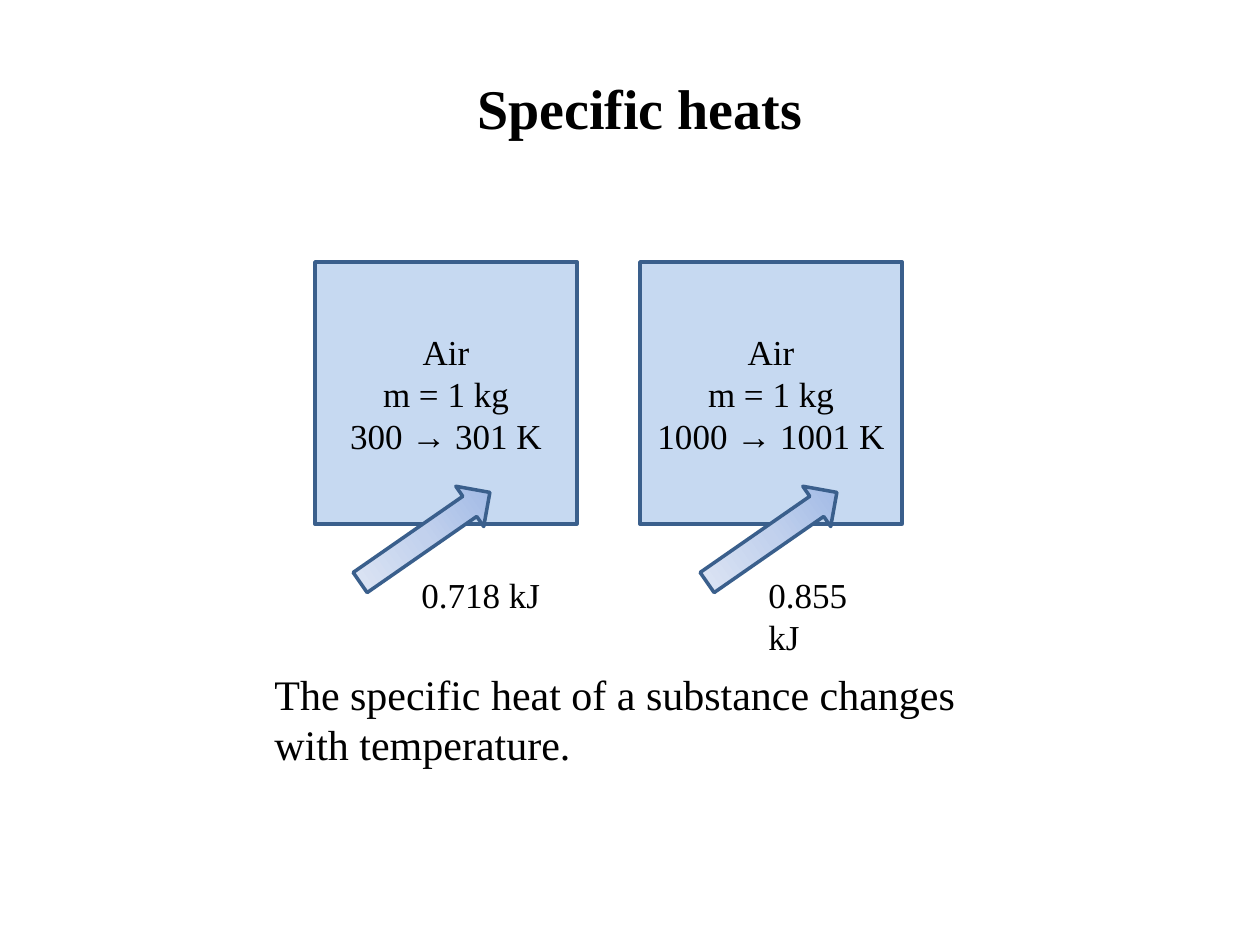
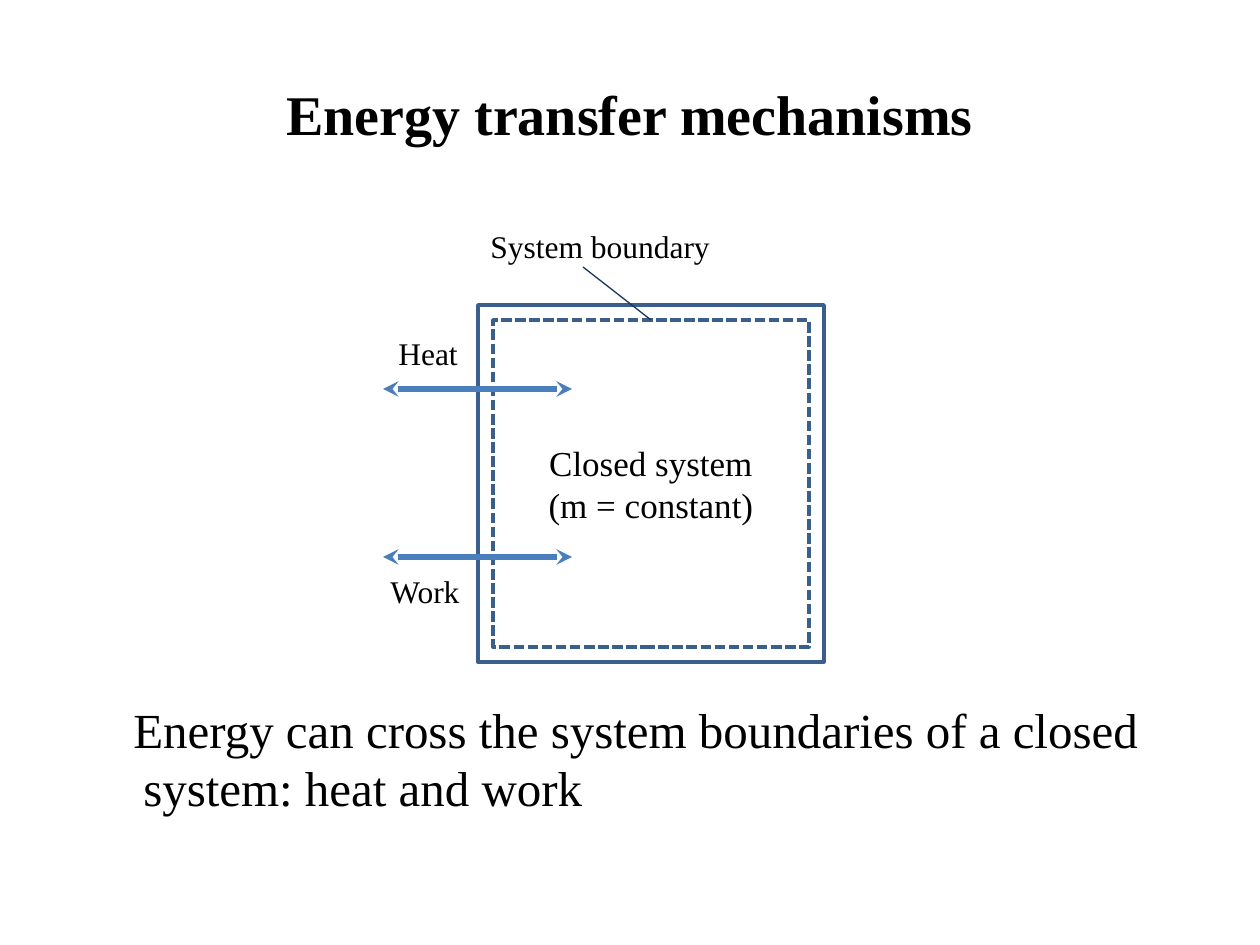
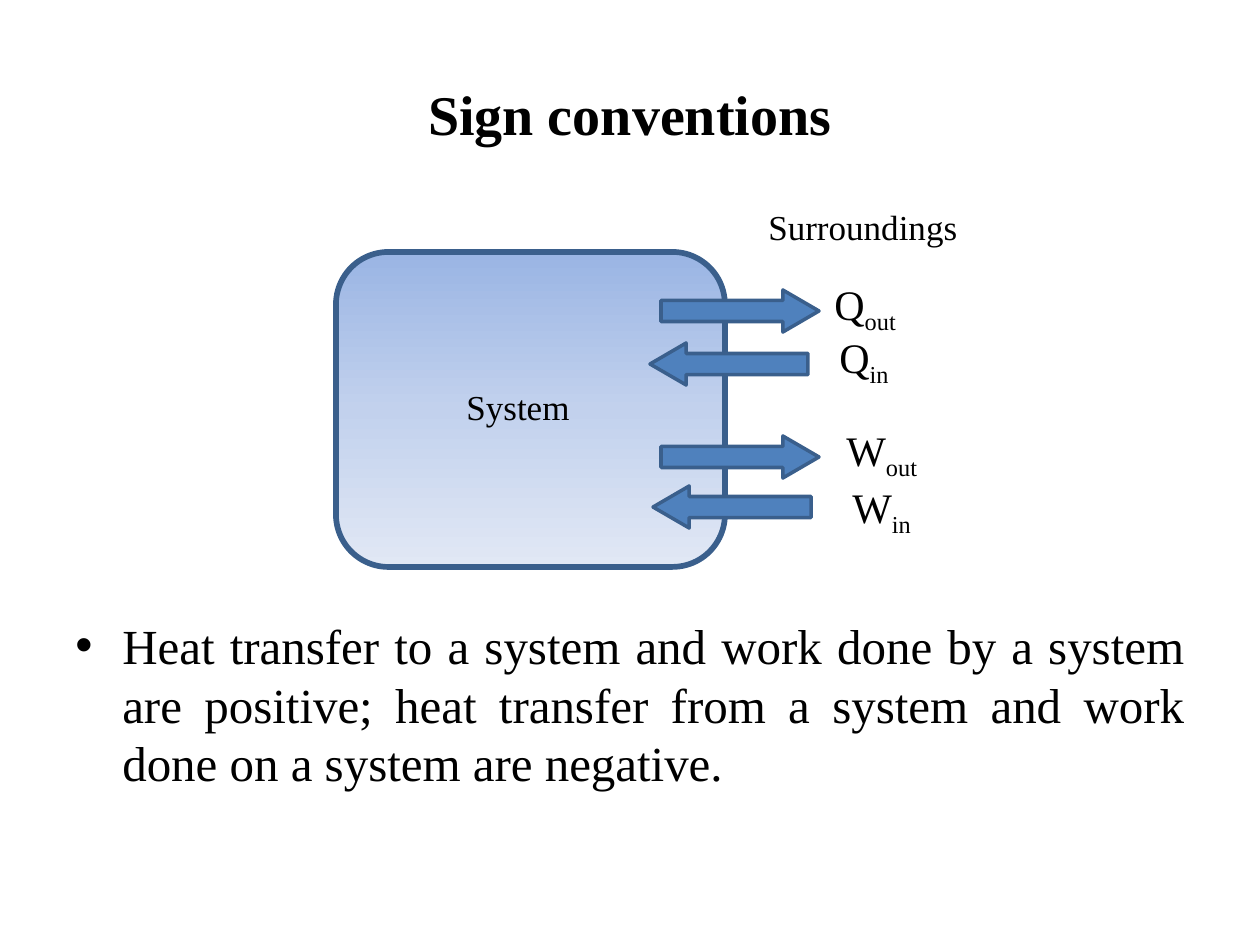
from copy import deepcopy

from lxml import etree
from pptx import Presentation
from pptx.dml.color import RGBColor
from pptx.enum.dml import MSO_LINE
from pptx.enum.shapes import MSO_CONNECTOR, MSO_SHAPE
from pptx.enum.text import MSO_ANCHOR, PP_ALIGN
from pptx.oxml.ns import qn
from pptx.util import Pt

PX = 914400 / 126
FONT = "Times New Roman"
BLACK = RGBColor(0x00, 0x00, 0x00)
OUTLINE = RGBColor(0x3A, 0x5F, 0x8C)
PALE_BLUE = RGBColor(0xC6, 0xD9, 0xF1)
ARROW_BLUE = RGBColor(0x4F, 0x81, 0xBD)
FLOW_BLUE = RGBColor(0x4B, 0x7E, 0xBC)
LEADER_BLUE = RGBColor(0x17, 0x37, 0x5E)
SHADES = (RGBColor(0x9A, 0xB5, 0xE4), RGBColor(0xC2, 0xD1, 0xED),
          RGBColor(0xE1, 0xE8, 0xF5))

LEFT, CENTER, JUSTIFY = PP_ALIGN.LEFT, PP_ALIGN.CENTER, PP_ALIGN.JUSTIFY
TOP, MIDDLE = MSO_ANCHOR.TOP, MSO_ANCHOR.MIDDLE
RECT, ROUNDED = MSO_SHAPE.RECTANGLE, MSO_SHAPE.ROUNDED_RECTANGLE
RIGHT_ARROW = MSO_SHAPE.RIGHT_ARROW
STRAIGHT = MSO_CONNECTOR.STRAIGHT
SHORT_DASH = MSO_LINE.SQUARE_DOT


def emu(*pixels):
    """Turn pixel lengths into EMU."""
    return [round(p * PX) for p in pixels]


def style(paragraph, size, align=LEFT, bold=False):
    """Set the shared text look on a paragraph."""
    paragraph.alignment = align
    font = paragraph.font
    font.name, font.size, font.bold = FONT, Pt(size), bold
    font.color.rgb = BLACK


def write(frame, lines, size, align=LEFT, bold=False, anchor=TOP):
    """Fill a text frame with one paragraph per line."""
    frame.vertical_anchor = anchor
    for i, line in enumerate(lines):
        paragraph = frame.add_paragraph() if i else frame.paragraphs[0]
        paragraph.add_run().text = line
        style(paragraph, size, align, bold)


def add_text(slide, box, text, size, align=LEFT, bold=False, wrap=True):
    """Place a text box and return its paragraph."""
    frame = slide.shapes.add_textbox(*emu(*box)).text_frame
    frame.word_wrap = wrap
    write(frame, [text], size, align, bold)
    return frame.paragraphs[0]


def hang(paragraph, margin, indent):
    """Give a paragraph a left margin and a first-line indent."""
    props = paragraph._p.get_or_add_pPr()
    for key, value in zip(("marL", "indent"), emu(margin, indent)):
        props.set(key, str(value))
    return props


def shade(fill, angle):
    """Apply the shared three-stop gradient."""
    fill.gradient()
    fill.gradient_angle = angle
    stops = fill._xPr.find(".//" + qn("a:gsLst"))
    stops.insert(1, deepcopy(stops[0]))
    for i, (stop, color) in enumerate(zip(fill.gradient_stops, SHADES)):
        stop.position = i / 2
        stop.color.rgb = color


def add_outlined(slide, kind, box, fill=None, width=2):
    """Place an outlined shape with a solid fill or none."""
    shape = slide.shapes.add_shape(kind, *emu(*box))
    shape.shadow.inherit = False
    shape.line.color.rgb, shape.line.width = OUTLINE, Pt(width)
    if fill is None:
        shape.fill.background()
    else:
        shape.fill.solid()
        shape.fill.fore_color.rgb = fill
    return shape


def add_line(slide, start, end, color, width, arrows=False):
    """Draw a straight line, optionally with stealth heads at both ends."""
    connector = slide.shapes.add_connector(STRAIGHT, *emu(*start, *end))
    connector.line.color.rgb, connector.line.width = color, Pt(width)
    props = connector._element.spPr
    if arrows:
        for tag in ("a:headEnd", "a:tailEnd"):
            etree.SubElement(props.find(qn("a:ln")), qn(tag), type="stealth")
    etree.SubElement(props, qn("a:effectLst"))


def add_title(slide, text, left=63, top=73):
    """Place the slide title."""
    add_text(slide, (left, top, 1134, 122), text, 32, CENTER, True)


def tank(slide, left, top, side, temperatures):
    """Draw a square of air with its mass and temperature change."""
    air = add_outlined(slide, RECT, (left, top, side, side), PALE_BLUE)
    write(air.text_frame, ["Air", "m = 1 kg", temperatures], 20, CENTER,
          anchor=MIDDLE)


def heat_input(slide, left, top, energy):
    """Draw a slanted heat arrow and the energy it brings."""
    arrow = add_outlined(slide, RIGHT_ARROW, (left, top, 158, 49))
    shade(arrow.fill, 180)
    arrow.rotation = 325.2
    add_text(slide, (left + 63, top + 54, 149, 55), energy, 20, wrap=False)


def closed_system(slide, left, top, width, height):
    """Draw the closed system, its boundary and the flows across it."""
    add_outlined(slide, RECT, (left, top, width, height))
    gap = 15
    boundary = add_outlined(slide, RECT, (left + gap, top + gap,
                                          width - 2 * gap, height - 2 * gap))
    boundary.line.dash_style = SHORT_DASH
    write(boundary.text_frame, ["Closed system", "(m = constant)"], 20,
          CENTER, anchor=MIDDLE)
    for flow, line_y, dx, label_y, label_w in (("Heat", 84, -92, 23, 86),
                                               ("Work", 252, -100, 261, 100)):
        add_line(slide, (left - 95, top + line_y), (left + 94, top + line_y),
                 FLOW_BLUE, 3, True)
        add_text(slide, (left + dx, top + label_y, label_w, 50), flow, 18,
                 wrap=False)
    add_text(slide, (left, top - 84, 368, 50), "System boundary", 18)
    add_line(slide, (left + 105, top - 38), (left + 173, top + gap),
             LEADER_BLUE, 0.75)


def signed_system(slide, left, top, width, height):
    """Draw the system with its heat and work arrows."""
    system = add_outlined(slide, ROUNDED, (left, top, width, height), width=3.25)
    shade(system.fill, 270)
    add_text(slide, (left + 118, top + 127, 130, 55), "System", 20, wrap=False)
    add_text(slide, (left + 420, top - 53, 215, 55), "Surroundings", 20,
             wrap=False)
    flows = (("Q", "out", 325, 38, 486, 20, 92),
             ("Q", "in", 314, 91, 491, 73, 78),
             ("W", "out", 325, 184, 498, 166, 98),
             ("W", "in", 317, 234, 504, 223, 86))
    for symbol, way, arrow_x, arrow_y, label_x, label_y, label_w in flows:
        arrow = add_outlined(slide, RIGHT_ARROW,
                             (left + arrow_x, top + arrow_y, 158, 42), ARROW_BLUE)
        arrow.adjustments[1] = 0.86
        arrow.rotation = 180 if way == "in" else 0
        label = add_text(slide, (left + label_x, top + label_y, label_w, 63),
                         symbol, 24, wrap=False)
        subscript = label.add_run()
        subscript.text = way
        subscript.font._element.set("baseline", "-25000")


def specific_heats(slide):
    """Build the slide on specific heats."""
    add_title(slide, "Specific heats", 73, 67)
    cases = (("300 → 301 K", "0.718 kJ"), ("1000 → 1001 K", "0.855  kJ"))
    for i, (temperatures, _) in enumerate(cases):
        tank(slide, 315 + 325 * i, 262, 262, temperatures)
    for i, (_, energy) in enumerate(cases):
        heat_input(slide, 346 + 347 * i, 513, energy)
    add_text(slide, (262, 662, 746, 115),
             "The specific heat of a substance changes with temperature.", 24)


def energy_transfer(slide):
    """Build the slide on energy transfer."""
    add_title(slide, "Energy transfer mechanisms")
    closed_system(slide, 478, 305, 346, 357)
    summary = add_text(slide, (84, 693, 1113, 163),
                       "Energy can cross the system boundaries of a closed "
                       "system: heat and work", 28)
    hang(summary, 47, -10)


def sign_conventions(slide):
    """Build the slide on sign conventions."""
    add_title(slide, "Sign conventions")
    signed_system(slide, 336, 252, 389, 315)
    rule = add_text(slide, (63, 609, 1134, 168),
                    "Heat transfer to a system and work done by a system are "
                    "positive; heat transfer from a system and work done on a "
                    "system are negative.", 28, JUSTIFY)
    props = hang(rule, 47, -47)
    bullet = etree.Element(qn("a:buChar"), char="•")
    bullet_font = etree.Element(qn("a:buFont"), typeface="Arial")
    props.insert(0, bullet)
    props.insert(0, bullet_font)


def main():
    """Build and save the presentation."""
    deck = Presentation()
    deck.slide_width, deck.slide_height = emu(1260, 945)
    for build in (specific_heats, energy_transfer, sign_conventions):
        build(deck.slides.add_slide(deck.slide_layouts[6]))
    deck.save("out.pptx")


main()
